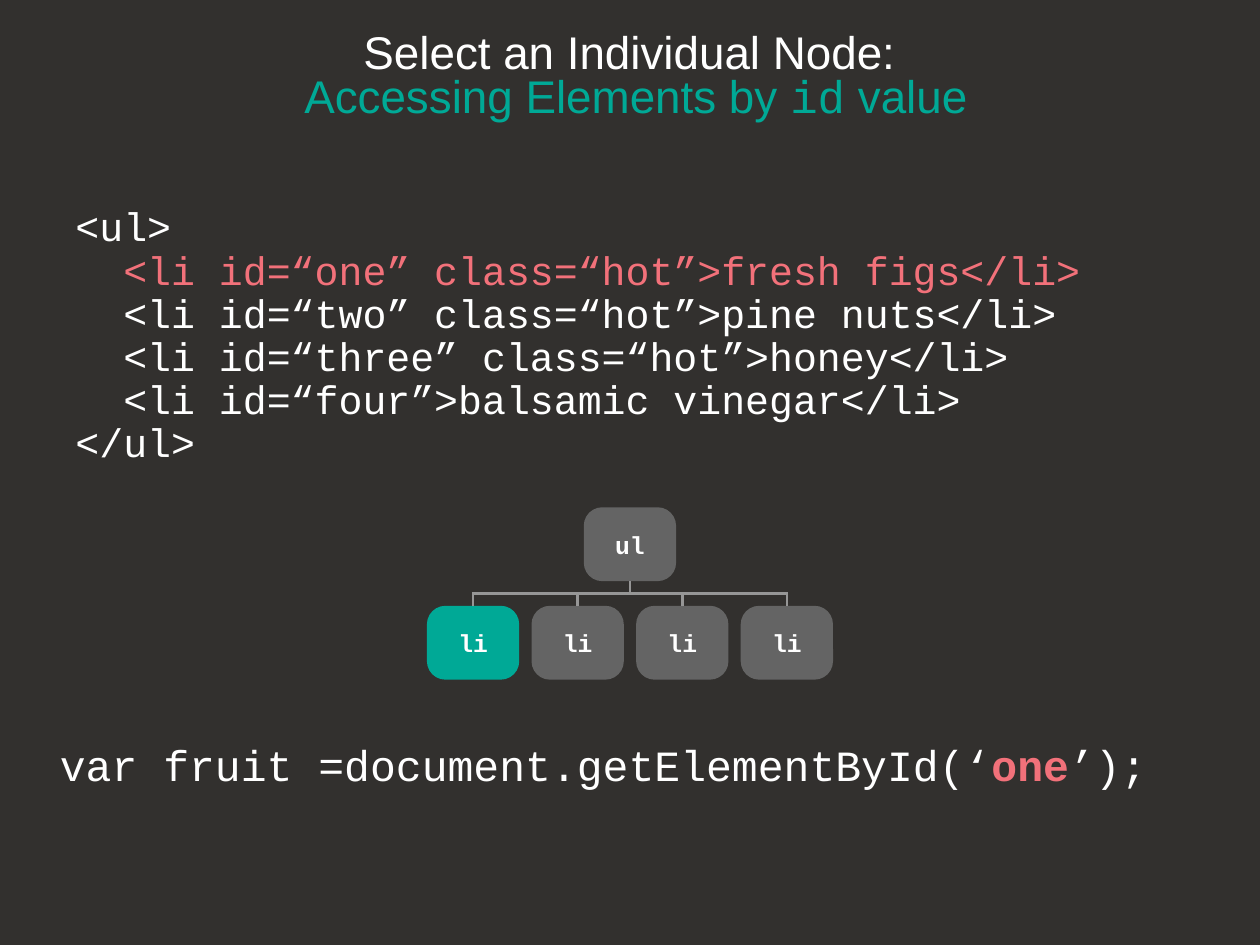
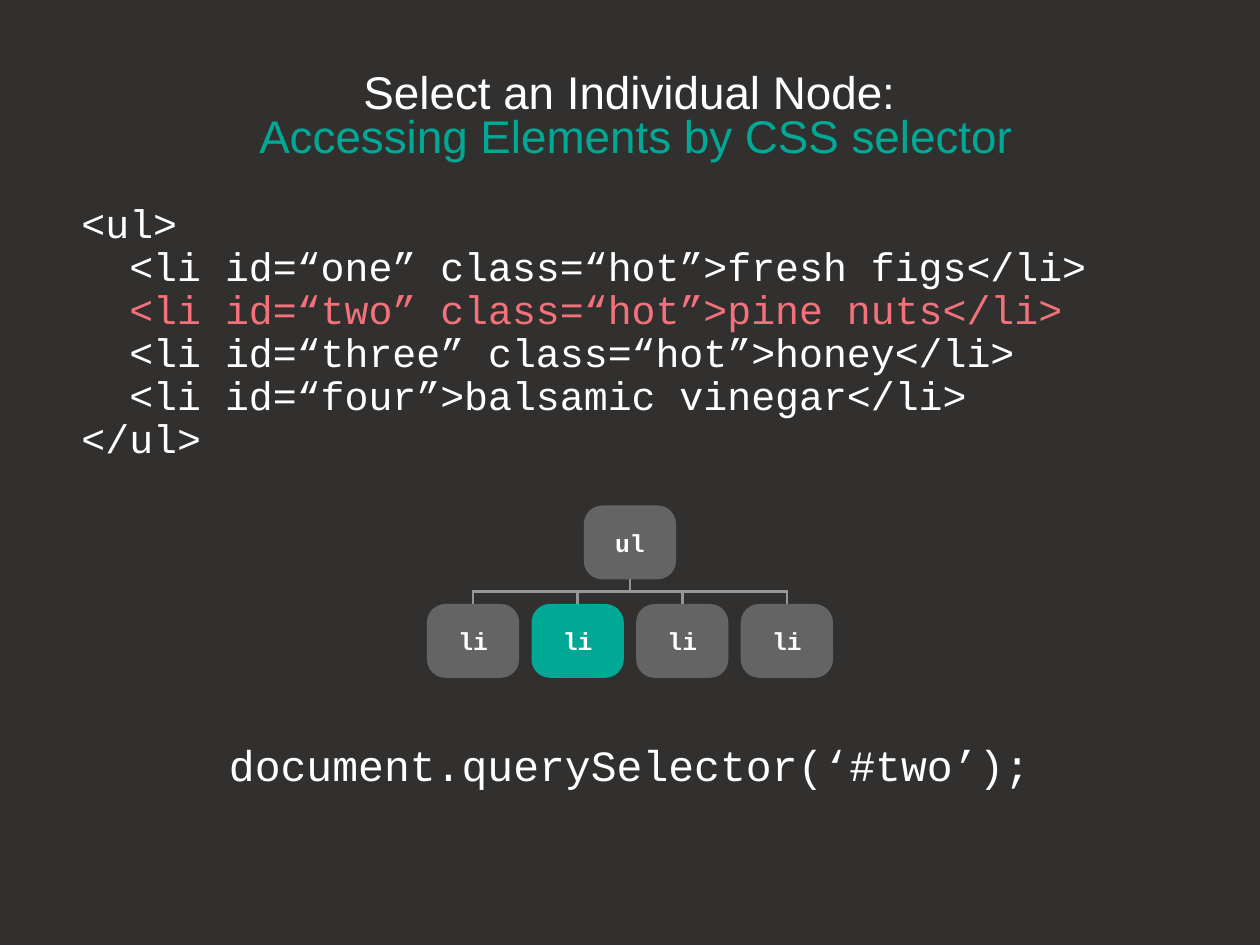
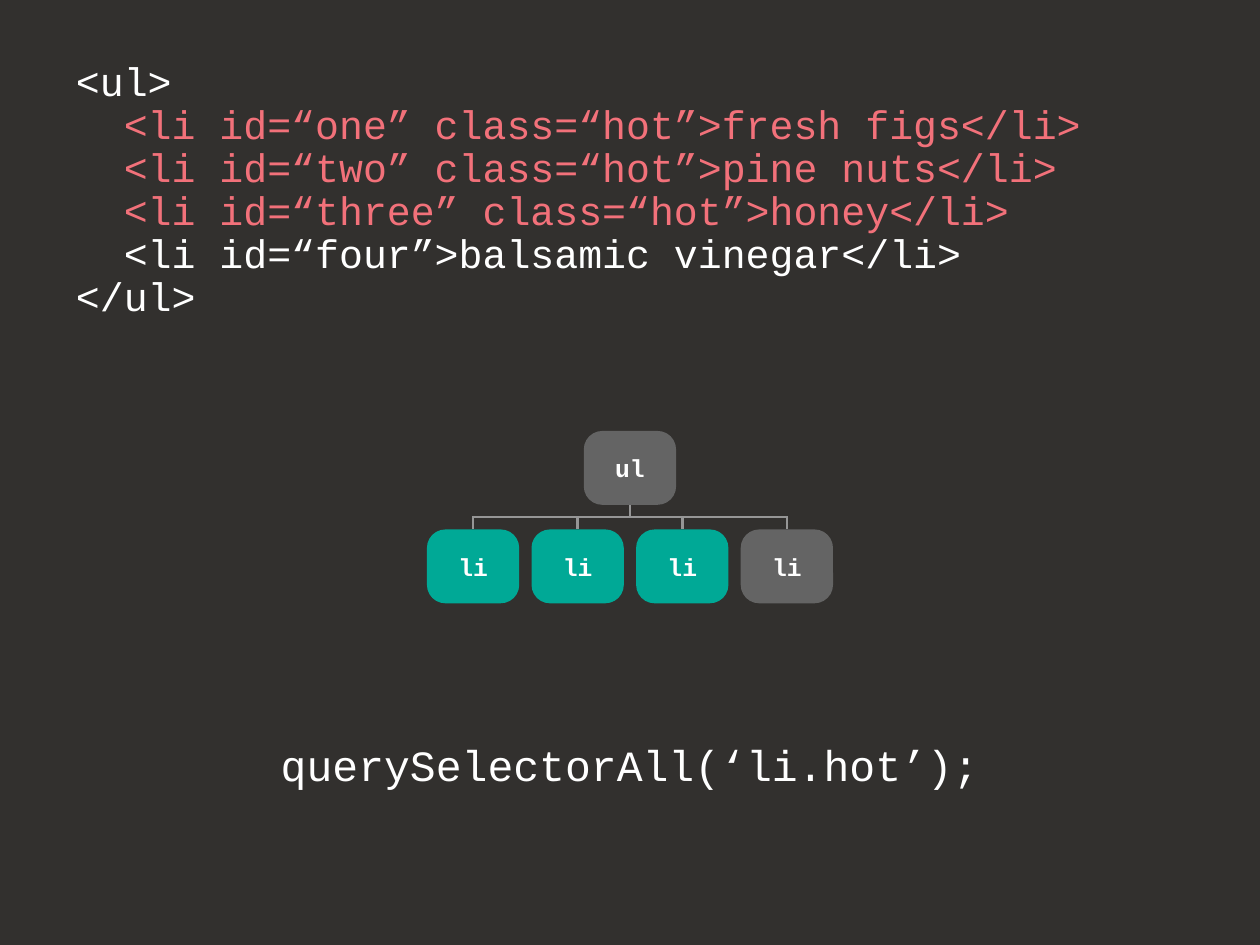
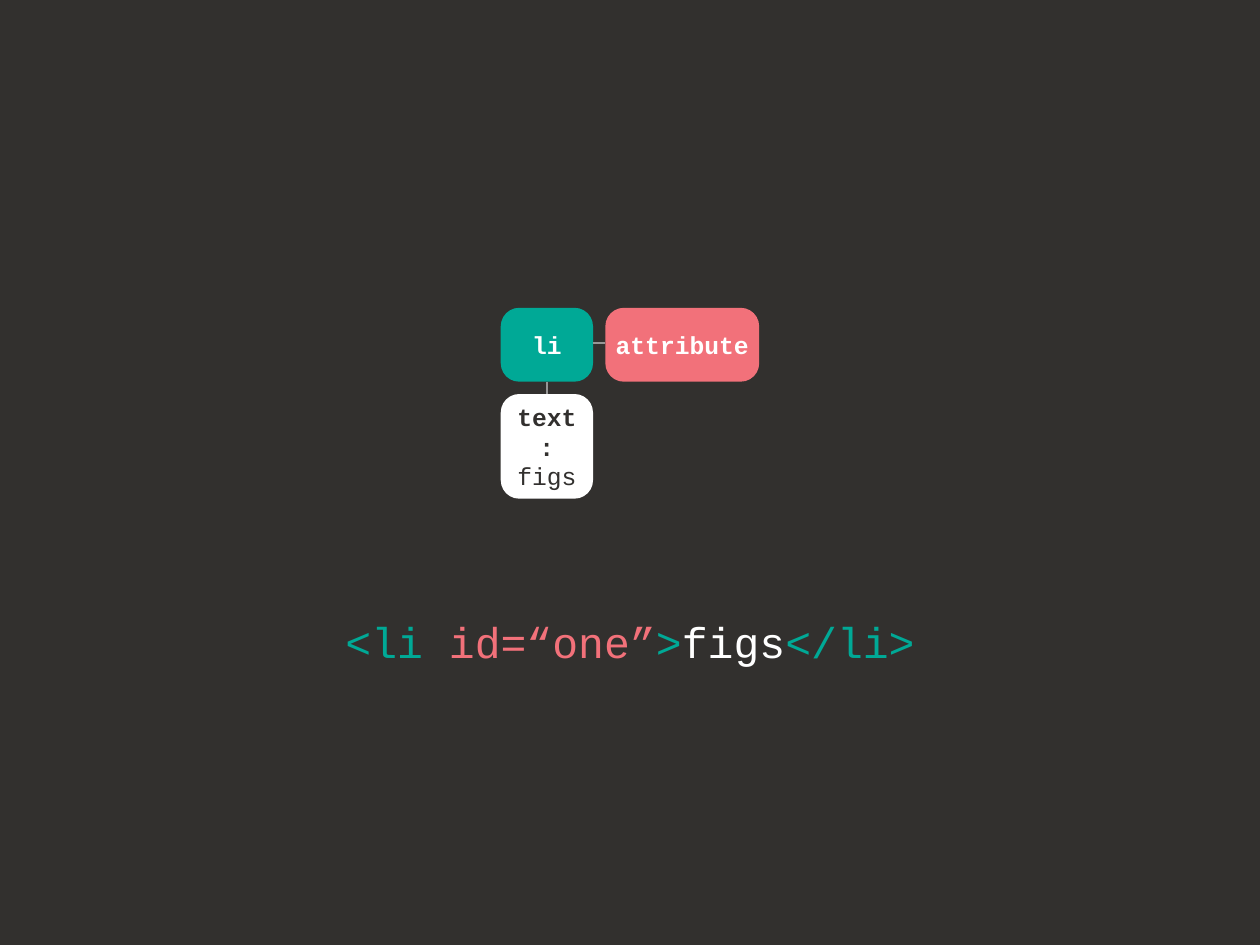
import pptx
import pptx.util
import pptx.dml.color
import pptx.enum.shapes
import pptx.enum.text
import pptx.oxml
import pptx.oxml.ns

Pt = pptx.util.Pt
RGBColor = pptx.dml.color.RGBColor
ALIGN = pptx.enum.text.PP_ALIGN
ANCHOR = pptx.enum.text.MSO_ANCHOR

CHARCOAL = RGBColor(0x32, 0x30, 0x2E)
WHITE = RGBColor(0xFF, 0xFF, 0xFF)
TEAL = RGBColor(0x00, 0xA9, 0x96)
CORAL = RGBColor(0xF2, 0x71, 0x7A)
GREY = RGBColor(0x64, 0x64, 0x64)
LINE_GREY = RGBColor(0x96, 0x96, 0x96)
SANS = "Arial"
MONO = "Courier New"

SLIDE_W = pptx.util.Inches(14.22)
SLIDE_H = pptx.util.Inches(10.66)
CELL = Pt(5)
COLUMNS = SLIDE_W / CELL
NODE_W, NODE_H, GAP = 15, 12, 2
CORNER = 3
NODE_SIZE, CODE_SIZE, CALL_SIZE, HEADING_SIZE = 20, 32.4, 35, 37.2
CODE_INDENT = Pt(2 * 0.6 * CODE_SIZE)

LIST_ITEMS = [
    "<li id=“one” class=“hot”>fresh figs</li>",
    "<li id=“two” class=“hot”>pine nuts</li>",
    "<li id=“three” class=“hot”>honey</li>",
    "<li id=“four”>balsamic vinegar</li>",
]


def cells(*counts):
    return [round(count * CELL) for count in counts]


def write(frame, lines, size, align=ALIGN.CENTER, spacing=1.0, anchor=ANCHOR.TOP, inset=0):
    frame.word_wrap = True
    frame.vertical_anchor = anchor
    frame.margin_left = frame.margin_right = Pt(inset)
    frame.margin_top = frame.margin_bottom = Pt(inset)
    for index, (indent, spans) in enumerate(lines):
        para = frame.paragraphs[0] if index == 0 else frame.add_paragraph()
        para.alignment = align
        para.line_spacing = spacing
        if indent:
            properties = para._p.get_or_add_pPr()
            properties.set("marL", str(indent))
            properties.set("indent", "0")
        for text, colour, font, bold in spans:
            span = para.add_run()
            span.text = text
            span.font.size = Pt(size)
            span.font.name = font
            span.font.bold = bold
            span.font.color.rgb = colour


tree_pages = [
    {
        "heading": [("Accessing Elements by ", TEAL, SANS, False), ("id", TEAL, MONO, False),
                    (" value", TEAL, SANS, False)],
        "heading_top": 3.75, "code_at": (12.27, 33.7), "tree_top": 82.4, "chosen": [0],
        "call_at": (3.75, 120, 188.6, 10),
        "call": [("var fruit =document.getElementById(‘", WHITE, MONO, False),
                 ("one", CORAL, MONO, True), ("’);", WHITE, MONO, False)],
    },
    {
        "heading": [("Accessing Elements by CSS selector", TEAL, SANS, False)],
        "heading_top": 10.2, "code_at": (13.25, 33.1), "tree_top": 82.1, "chosen": [1],
        "call_at": (12.4, 120, 180, 10),
        "call": [("document.querySelector(‘#two’);", WHITE, MONO, False)],
    },
    {
        "heading": None, "code_at": (12.35, 10), "tree_top": 70, "chosen": [0, 1, 2],
        "call_at": (12.4, 120, 180, 10),
        "call": [("querySelectorAll(‘li.hot’);", WHITE, MONO, False)],
    },
]

pages = []
for plan in tree_pages:
    code = [(0, [("<ul>", WHITE, MONO, False)])]
    for index, item in enumerate(LIST_ITEMS):
        colour = CORAL if index in plan["chosen"] else WHITE
        code.append((CODE_INDENT, [(item, colour, MONO, False)]))
    code.append((0, [("</ul>", WHITE, MONO, False)]))
    texts = [
        (plan["call_at"], [(0, plan["call"])], CALL_SIZE, ALIGN.CENTER, 1.0, ANCHOR.TOP),
        ((*plan["code_at"], 180, 50), code, CODE_SIZE, ALIGN.LEFT, 0.9, ANCHOR.TOP),
    ]
    if plan["heading"]:
        heading = [(0, [("Select an Individual Node:", WHITE, SANS, False)]),
                   (0, [(" ", WHITE, SANS, False)] + plan["heading"])]
        texts.append(((7.05, plan["heading_top"], 190.5, 18), heading, HEADING_SIZE,
                      ALIGN.CENTER, 0.8, ANCHOR.MIDDLE))

    middle = COLUMNS / 2
    top = plan["tree_top"]
    bus = top + NODE_H + GAP
    child_top = bus + GAP
    first = middle - 1.5 * (NODE_W + GAP)
    last = middle + 1.5 * (NODE_W + GAP)
    nodes = [((middle - NODE_W / 2, top, NODE_W, NODE_H), GREY,
              [(0, [("ul", WHITE, MONO, True)])], 4.5)]
    links = [(middle, top + NODE_H, middle, bus), (first - 0.2, bus, last + 0.2, bus)]
    for index in range(len(LIST_ITEMS)):
        centre = first + index * (NODE_W + GAP)
        fill = TEAL if index in plan["chosen"] else GREY
        nodes.append(((centre - NODE_W / 2, child_top, NODE_W, NODE_H), fill,
                      [(0, [("li", WHITE, MONO, True)])], 4.5))
        links.append((centre, bus, centre, child_top))
    pages.append((texts, nodes, links))

attribute_w, text_h = 25, 17
left = (COLUMNS - NODE_W - GAP - attribute_w) / 2
top = 50
right, bottom = left + NODE_W, top + NODE_H
tag_line = [("<li ", TEAL, MONO, False), ("id=“one”", CORAL, MONO, False),
            (">", TEAL, MONO, False), ("figs", WHITE, MONO, False), ("</li>", TEAL, MONO, False)]
pages.append((
    [((12.4, 100, 180, 10), [(0, tag_line)], CALL_SIZE, ALIGN.CENTER, 1.0, ANCHOR.TOP)],
    [
        ((left, top, NODE_W, NODE_H), TEAL, [(0, [("li", WHITE, MONO, True)])], 4.5),
        ((right + GAP, top, attribute_w, NODE_H), CORAL,
         [(0, [("attribute", WHITE, MONO, True)])], 0),
        ((left, bottom + GAP, NODE_W, text_h), WHITE,
         [(0, [("text:", CHARCOAL, MONO, True)]), (0, [("figs", CHARCOAL, MONO, False)])], 4.5),
    ],
    [(left + NODE_W / 2, bottom, left + NODE_W / 2, bottom + GAP),
     (right, top + 5.75, right + GAP, top + 5.75)],
))

deck = pptx.Presentation()
deck.slide_width = SLIDE_W
deck.slide_height = SLIDE_H
backdrop = deck.slide_master.background.fill
backdrop.solid()
backdrop.fore_color.rgb = CHARCOAL

for texts, nodes, links in pages:
    page = deck.slides.add_slide(deck.slide_layouts[6])
    for place, lines, size, align, spacing, anchor in texts:
        box = page.shapes.add_textbox(*cells(*place))
        write(box.text_frame, lines, size, align, spacing, anchor)
    diagram = page.shapes.add_group_shape()
    for place, fill, lines, inset in nodes:
        node = diagram.shapes.add_shape(
            pptx.enum.shapes.MSO_SHAPE.ROUNDED_RECTANGLE, *cells(*place))
        node.adjustments[0] = CORNER / min(place[2:])
        node.shadow.inherit = False
        node.fill.solid()
        node.fill.fore_color.rgb = fill
        node.line.fill.background()
        write(node.text_frame, lines, NODE_SIZE, anchor=ANCHOR.MIDDLE, inset=inset)
    for ends in links:
        link = diagram.shapes.add_connector(
            pptx.enum.shapes.MSO_CONNECTOR.STRAIGHT, *cells(*ends))
        link.line.color.rgb = LINE_GREY
        link.line.width = Pt(2)
        link._element.spPr.append(pptx.oxml.parse_xml(
            "<a:effectLst %s/>" % pptx.oxml.ns.nsdecls("a")))

deck.save("out.pptx")
